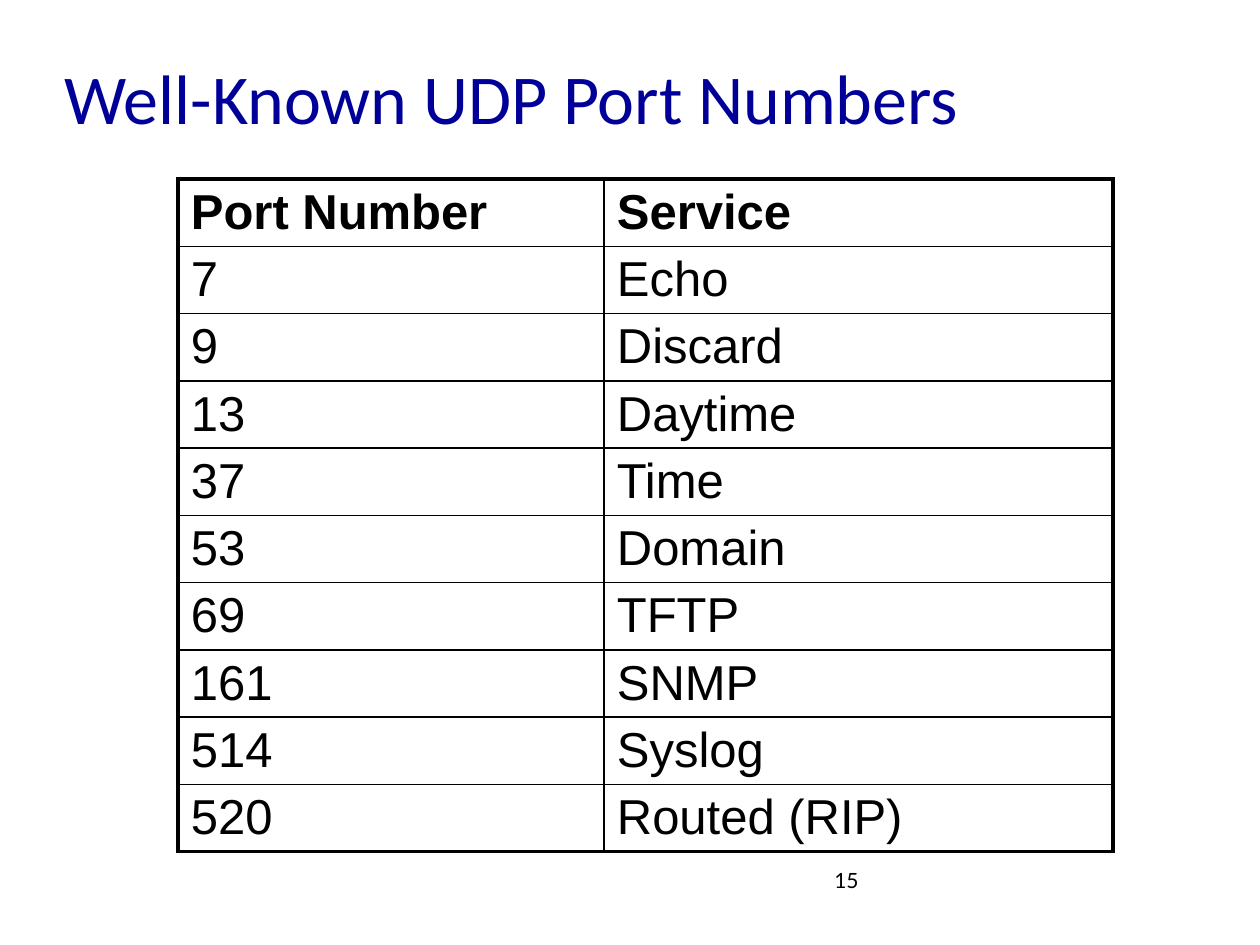
from lxml.etree import SubElement
from pptx import Presentation
from pptx.dml.color import RGBColor
from pptx.enum.text import MSO_ANCHOR as Anchor, PP_ALIGN as Align
from pptx.oxml.ns import qn
from pptx.util import Emu, Pt

PX_PER_INCH = 126
BLACK = RGBColor(0x00, 0x00, 0x00)
NAVY = RGBColor(0x00, 0x00, 0x99)

THIN, THICK = Pt(1), Pt(2.25)
COLUMN_WIDTHS = (426, 509)
TABLE_HEIGHT = 673
PORTS = [
    ("Port Number", "Service"),
    ("7", "Echo"),
    ("9", "Discard"),
    ("13", "Daytime"),
    ("37", "Time"),
    ("53", "Domain"),
    ("69", "TFTP"),
    ("161", "SNMP"),
    ("514", "Syslog"),
    ("520", "Routed (RIP)"),
]


def px(length):
    return Emu(round(length * 914400 / PX_PER_INCH))


def add_run(paragraph, text, font, size, color, bold=False):
    run = paragraph.add_run()
    run.text = text
    run.font.name = font
    run.font.size = Pt(size)
    run.font.color.rgb = color
    run.font.bold = bold


def add_label(slide, box, text, font, size, color, align=Align.LEFT, anchor=Anchor.TOP):
    frame = slide.shapes.add_textbox(*map(px, box)).text_frame
    frame.word_wrap = True
    frame.vertical_anchor = anchor
    frame.paragraphs[0].alignment = align
    add_run(frame.paragraphs[0], text, font, size, color)


def set_borders(cell, widths):
    """Draw the left, right, top and bottom borders, in that order."""
    properties = cell._tc.get_or_add_tcPr()
    for index, (side, width) in enumerate(zip("LRTB", widths)):
        line = SubElement(properties, qn(f"a:ln{side}"), w=str(width))
        fill = SubElement(line, qn("a:solidFill"))
        SubElement(fill, qn("a:srgbClr"), val=str(BLACK))
        properties.insert(index, line)  # borders come before the fill


def add_port_table(slide, left, top):
    row_count, column_count = len(PORTS), len(COLUMN_WIDTHS)
    table = slide.shapes.add_table(
        row_count, column_count, px(left), px(top),
        px(sum(COLUMN_WIDTHS)), px(TABLE_HEIGHT)).table
    table.first_row = table.horz_banding = False
    for column, width in zip(table.columns, COLUMN_WIDTHS):
        column.width = px(width)

    for r, port in enumerate(PORTS):
        table.rows[r].height = px(TABLE_HEIGHT / row_count)
        for c, text in enumerate(port):
            cell = table.cell(r, c)
            cell.fill.background()
            cell.margin_left = cell.margin_right = px(13)
            cell.margin_top, cell.margin_bottom = px(6), px(2)
            add_run(cell.text_frame.paragraphs[0], text, "Arial", 28, BLACK, bold=r == 0)
            # Only the outer frame is thick
            outer = (c == 0, c == column_count - 1, r == 0, r == row_count - 1)
            set_borders(cell, [THICK if edge else THIN for edge in outer])


def main():
    deck = Presentation()
    deck.slide_width, deck.slide_height = px(1260), px(945)
    slide = deck.slides.add_slide(deck.slide_layouts[6])

    # Page number
    add_label(slide, (472, 861, 399, 63), "15", "Lato", 12, BLACK, align=Align.RIGHT)
    # Title
    add_label(slide, (52, 44, 1134, 105), "Well-Known UDP Port Numbers",
              "Calibri", 40, NAVY, anchor=Anchor.MIDDLE)
    # Port numbers and their services
    add_port_table(slide, 178, 179)

    deck.save("out.pptx")


if __name__ == "__main__":
    main()
